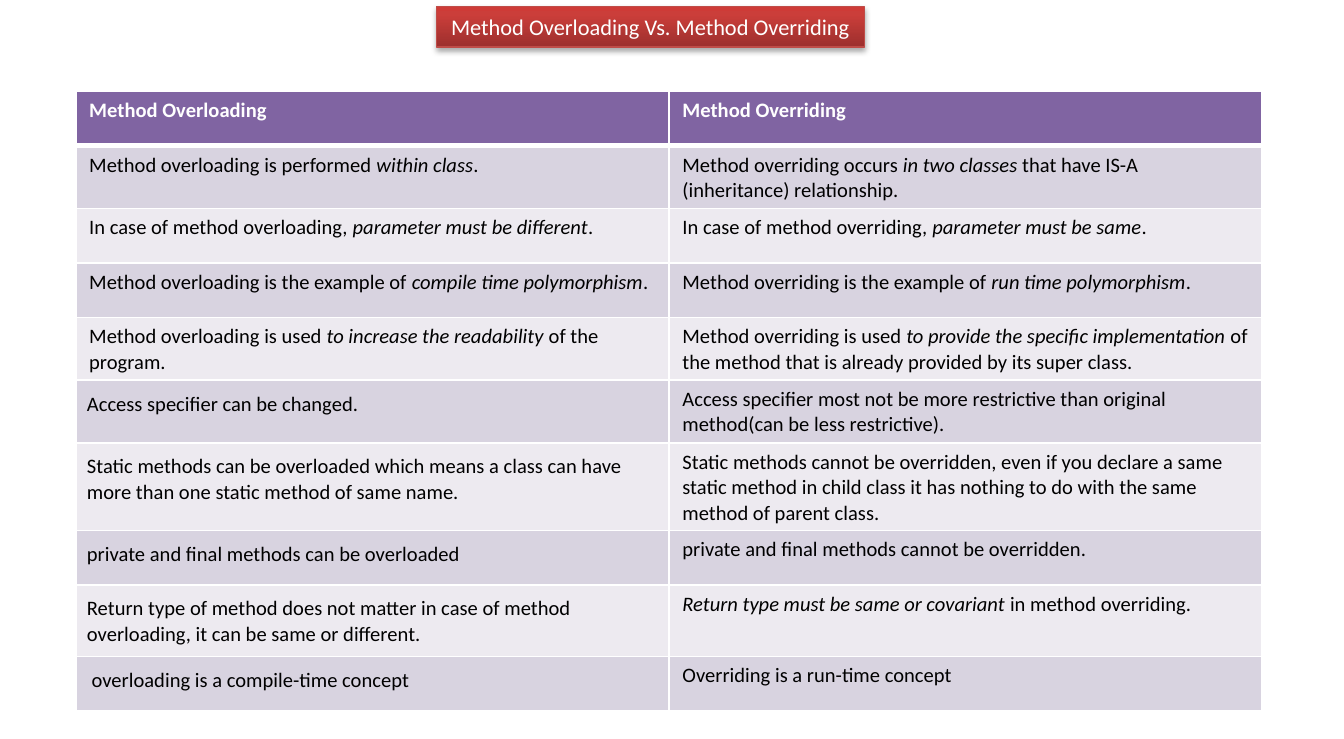
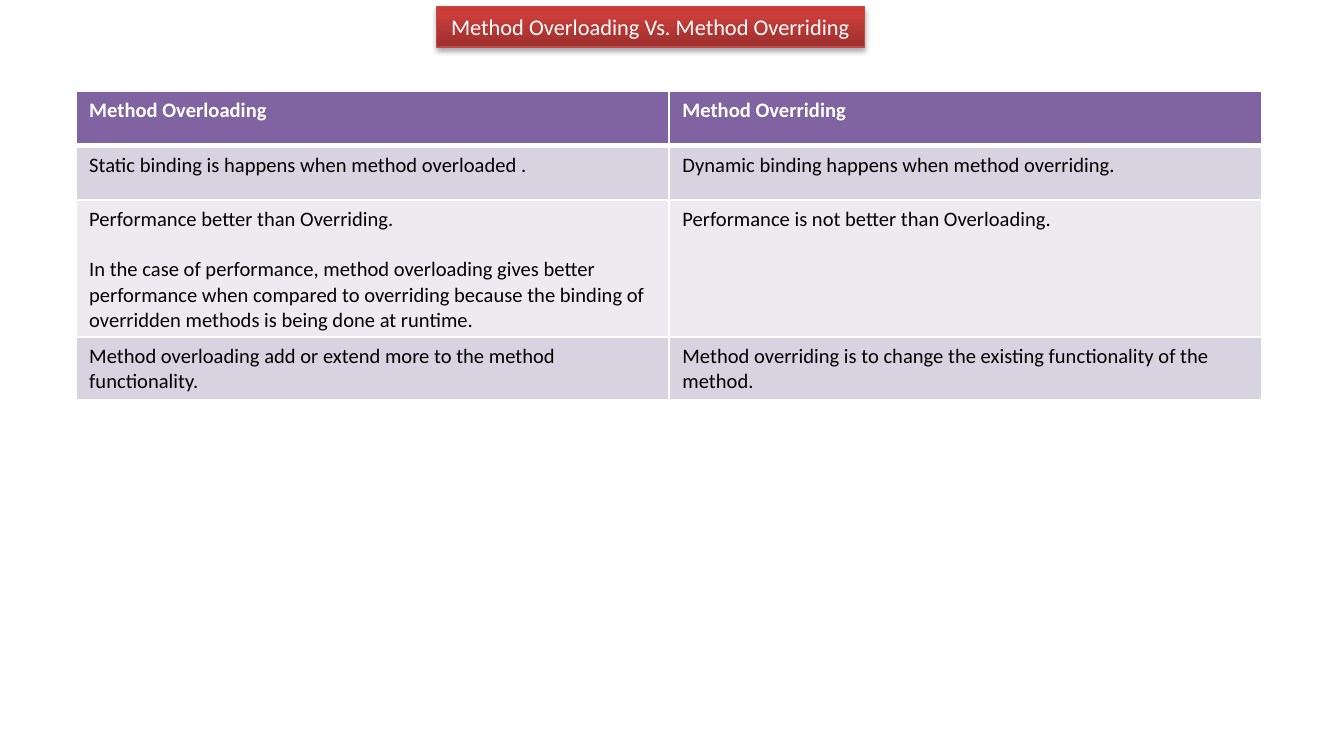
from copy import deepcopy

from lxml import etree
from pptx import Presentation
from pptx.dml.color import RGBColor
from pptx.enum.shapes import MSO_SHAPE
from pptx.enum.text import MSO_ANCHOR, MSO_AUTO_SIZE, PP_ALIGN
from pptx.oxml.ns import qn
from pptx.util import Pt

RECTANGLE = MSO_SHAPE.RECTANGLE
MIDDLE = MSO_ANCHOR.MIDDLE
GROW = MSO_AUTO_SIZE.SHAPE_TO_FIT_TEXT
CENTER = PP_ALIGN.CENTER

FONT = "Calibri"
WHITE, BLACK = "FFFFFF", "000000"
HEADER_FILL = "8064A2"
BAND_FILLS = ("EDEAF0", "D8D3E0")
TITLE_LINE = "BF4C48"
TITLE_STOPS = ((0, "9C2F2D"), (0.8, "CB3E3A"), (1, "CE3B37"))

TITLE = "Method Overloading Vs. Method Overriding"
HEADER = ("Method Overloading", "Method Overriding")
# Text between asterisks is italic; a line break starts a new paragraph.
RULES = [
    ("Method overloading is performed *within class*.",
     "Method overriding occurs *in two classes* that have IS-A (inheritance) relationship."),
    ("In case of method overloading, *parameter must be different*.",
     "In case of method overriding, *parameter must be same*."),
    ("Method overloading is the example of *compile time polymorphism*.",
     "Method overriding is the example of *run time polymorphism*."),
    ("Method overloading is used *to increase the readability* of the program.",
     "Method overriding is used *to provide the specific implementation* of the method "
     "that is already provided by its super class."),
    ("Access specifier can be changed.",
     "Access specifier most not be more restrictive than original method"
     "(can be less restrictive)."),
    ("Static methods can be overloaded which means a class can have more than one "
     "static method of same name.",
     "Static methods cannot be overridden, even if you declare a same static method in "
     "child class it has nothing to do with the same method of parent class."),
    ("private and final methods can be overloaded",
     "private and final methods cannot be overridden."),
    ("Return type of method does not matter in case of method overloading, it can be "
     "same or different.",
     "*Return type must be same or covariant* in method overriding."),
    (" overloading is a compile-time concept", "Overriding is a run-time concept"),
]
BINDING = [
    ("Static binding is happens when method overloaded .",
     "Dynamic binding happens when method overriding."),
    ("Performance better than Overriding.\n"
     "In the case of performance, method overloading gives better performance when "
     "compared to overriding because the binding of overridden methods is being done "
     "at runtime.",
     "Performance is not better than Overloading."),
    ("Method overloading add or extend more to the method functionality.",
     "Method overriding is to change the existing functionality of the method."),
]


def color(value):
    return RGBColor.from_string(value)


class Deck:
    def __init__(self):
        self.deck = Presentation()
        self.deck.slide_width, self.deck.slide_height = Pt(720), Pt(396)
        self.page = None

    def add_page(self):
        self.page = self.deck.slides.add_slide(self.deck.slide_layouts[6])

    def style(self, para, size, text_color, bold=False):
        para.font.name, para.font.size = FONT, Pt(size)
        para.font.bold = bold
        para.font.color.rgb = color(text_color)

    def title(self, text):
        box = self.page.shapes.add_shape(RECTANGLE, Pt(234), Pt(3.5), Pt(229), Pt(21.8))
        box.fill.gradient()
        box.fill.gradient_angle = 90
        stop_list = box.fill.gradient_stops[0]._gs.getparent()
        stop_list.append(deepcopy(stop_list[-1]))
        for stop, (position, value) in zip(box.fill.gradient_stops, TITLE_STOPS):
            stop.position = position
            stop.color.rgb = color(value)
        box.line.color.rgb, box.line.width = color(TITLE_LINE), Pt(0.75)
        self.drop_shadow(box)
        frame = box.text_frame
        frame.word_wrap, frame.auto_size, frame.vertical_anchor = False, GROW, MIDDLE
        para = frame.paragraphs[0]
        para.text, para.alignment = text, CENTER
        self.style(para, 12, WHITE)

    def drop_shadow(self, shape):
        shape.shadow.inherit = False
        effects = shape._element.spPr.find(qn("a:effectLst"))
        shadow = etree.SubElement(effects, qn("a:outerShdw"), blurRad=str(Pt(3.1)),
                                  dist=str(Pt(1.8)), dir="5400000", rotWithShape="0")
        tint = etree.SubElement(shadow, qn("a:srgbClr"), val=BLACK)
        etree.SubElement(tint, qn("a:alpha"), val="35000")

    def borders(self, cell, top, bottom):
        """Draw white borders, one point wide at the sides."""
        properties = cell._tc.get_or_add_tcPr()
        for side, width in (("L", 1), ("R", 1), ("T", top), ("B", bottom)):
            line = etree.SubElement(properties, qn(f"a:ln{side}"), w=str(Pt(width)))
            fill = etree.SubElement(line, qn("a:solidFill"))
            etree.SubElement(fill, qn("a:srgbClr"), val=WHITE)

    def cell_text(self, cell, text, text_color, bold):
        frame = cell.text_frame
        for number, line in enumerate(text.split("\n")):
            para = frame.add_paragraph() if number else frame.paragraphs[0]
            if number:
                para.space_before = Pt(13.4)
            for index, part in enumerate(line.split("*")):
                if part:
                    span = para.add_run()
                    span.text = part
                    if index % 2:
                        span.font.italic = True
            self.style(para, 11, text_color, bold)

    def comparison(self, rows, padded_from=None):
        """Add a two-column table; left cells from row padded_from get even margins."""
        rows = [HEADER, *rows]
        table = self.page.shapes.add_table(len(rows), 2, Pt(40.6), Pt(48.8), Pt(635.6),
                                           Pt(29.2 * len(rows))).table
        for row, texts in enumerate(rows):
            is_header = row == 0
            for column, text in enumerate(texts):
                cell = table.cell(row, column)
                self.borders(cell, 3 if row == 1 else 1, 3 if is_header else 1)
                cell.fill.solid()
                cell.fill.fore_color.rgb = color(HEADER_FILL if is_header
                                                 else BAND_FILLS[row % 2])
                if padded_from and row >= padded_from and column == 0:
                    cell.margin_left = cell.margin_right = Pt(6)
                    cell.margin_top = cell.margin_bottom = Pt(6)
                self.cell_text(cell, text, WHITE if is_header else BLACK, is_header)


def main():
    deck = Deck()
    for rows, padded_from in ((RULES, 5), (BINDING, None)):
        deck.add_page()
        deck.title(TITLE)
        deck.comparison(rows, padded_from)
    deck.deck.save("out.pptx")


if __name__ == "__main__":
    main()
